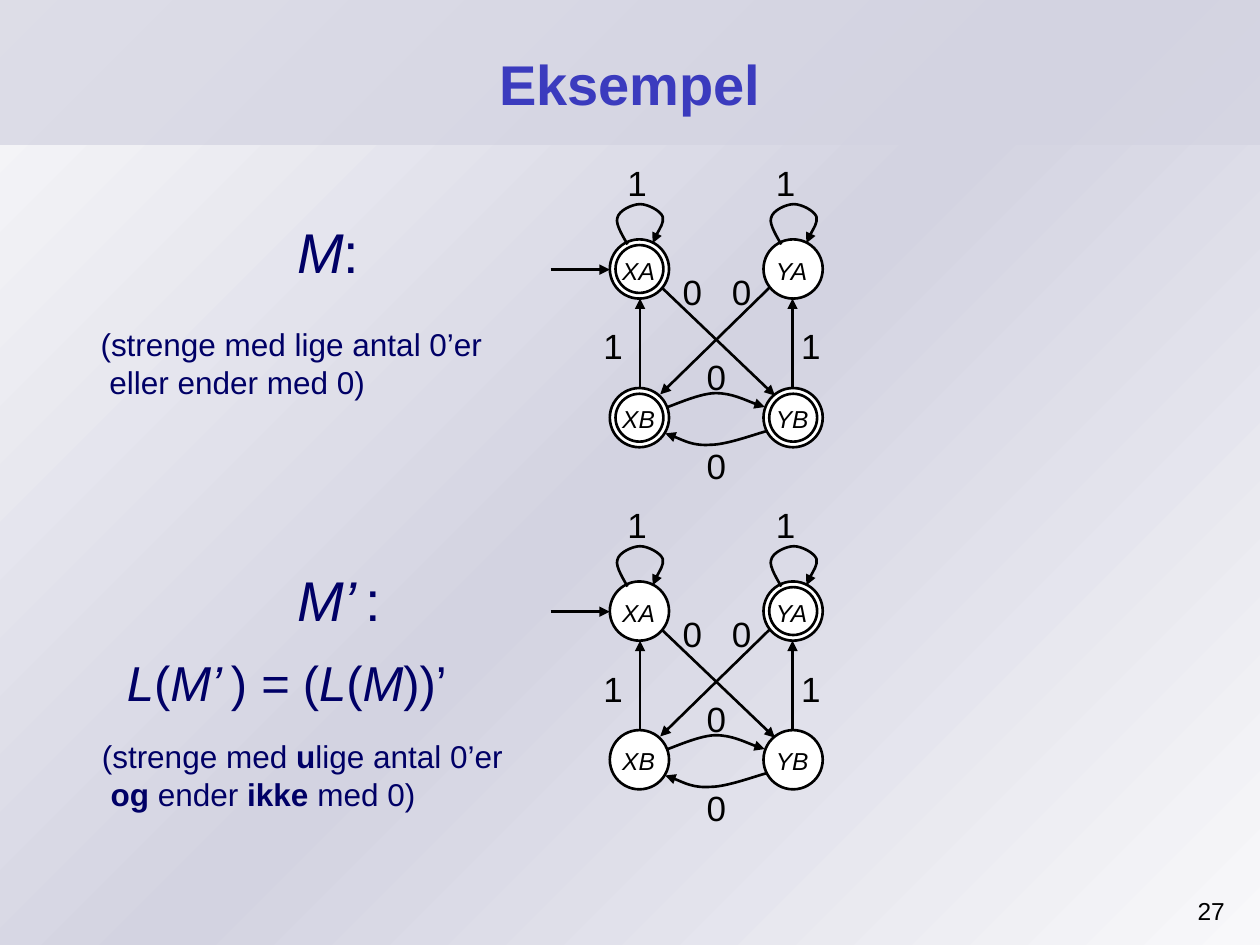
from typing import NamedTuple

import lxml.etree
import pptx
import pptx.dml.color
import pptx.enum.shapes
import pptx.enum.text
import pptx.oxml.ns
import pptx.util

COLUMNS, ROWS, CELL = 100, 75, 0.1  # slide grid, cell side in inches
BLACK, WHITE, NAVY, BLUE, LAVENDER, PALE = "000000", "FFFFFF", "000066", "3B3BBE", "D3D3E1", "F8F8FA"
OVAL = pptx.enum.shapes.MSO_SHAPE.OVAL
RECTANGLE = pptx.enum.shapes.MSO_SHAPE.RECTANGLE
ALIGN = pptx.enum.text.PP_ALIGN
qn = pptx.oxml.ns.qn


class Point(NamedTuple):
    column: float
    row: float

    def shift(self, columns: float, rows: float) -> "Point":
        return Point(self.column + columns, self.row + rows)


class Size(NamedTuple):
    columns: float
    rows: float


class Span(NamedTuple):
    text: str
    format: dict = {}


class Note(NamedTuple):
    at: Point
    size: Size
    base: dict
    spans: list
    hanging: float = 0


class State(NamedTuple):
    name: str
    column: int
    row: int


class Automaton(NamedTuple):
    origin: Point
    accepting: set


# Measures of an automaton, in grid cells from its top left state
DIAMETER, RING_INSET = 4.7, 0.45
PITCH = Size(12.2, 11.8)
STATES = [State("XA", 0, 0), State("YA", 1, 0), State("XB", 0, 1), State("YB", 1, 1)]
ARROWS = [
    (Point(-4.7, 2.4), Point(0, 2.4)),
    (Point(2.4, 11.8), Point(2.4, 4.7)),
    (Point(14.5, 11.8), Point(14.5, 4.7)),
    (Point(4.2, 3.9), Point(13.1, 12.4)),
    (Point(12.7, 3.8), Point(4.0, 12.3)),
]
LOOP = [Point(1.4, 0.4), Point(1.2, 0), Point(0.4, -1.2), Point(0.6, -1.7),
        Point(0.7, -2.3), Point(1.8, -2.8), Point(2.4, -2.8),
        Point(3.0, -2.8), Point(4.0, -2.3), Point(4.2, -1.8),
        Point(4.3, -1.3), Point(3.5, -0.1), Point(3.4, 0.3)]
ARCS = [
    [Point(4.6, 13.3), Point(5.2, 13.1), Point(7.2, 12.2), Point(8.4, 12.2),
     Point(9.7, 12.2), Point(11.5, 13.1), Point(12.3, 13.3)],
    [Point(12.5, 15.2), Point(11.7, 15.4), Point(9.3, 16.3), Point(8.0, 16.3),
     Point(6.6, 16.4), Point(5.1, 15.6), Point(4.4, 15.4)],
]
LABELS = {
    "0": [Point(4.8, 2), Point(8.7, 2), Point(6.7, 8.7), Point(6.7, 15.8)],
    "1": [Point(0.4, -6.7), Point(12.2, -6.7), Point(-1.5, 6.3), Point(14.2, 6.3)],
}
AUTOMATA = [
    Automaton(Point(48.4, 19), {"XA", "XB", "YB"}),
    Automaton(Point(48.4, 46.15), {"YA"}),
]

ITALIC, UPRIGHT, BOLD = {"italic": True}, {"italic": False}, {"bold": True}
NOTES = [
    Note(Point(22.6, 16.8), Size(7.2, 6), {"size": 32, "color": NAVY},
         [Span("M", ITALIC), Span(":")]),
    Note(Point(7, 25.3), Size(32.3, 6.6), {"size": 18, "color": NAVY},
         [Span("(strenge med lige antal 0’er\veller ender med 0)")], 0.7),
    Note(Point(22.6, 44.4), Size(8.7, 6), {"size": 32, "color": NAVY},
         [Span("M’", ITALIC), Span(" ", {"size": 20, "italic": True}), Span(":")]),
    Note(Point(9.1, 51.3), Size(27.4, 5.4), {"size": 28, "color": NAVY},
         [Span("L", ITALIC), Span("(", UPRIGHT), Span("M’", ITALIC),
          Span(" ", {"size": 18, "italic": True}), Span(")", UPRIGHT), Span(" = ", ITALIC),
          Span("(", UPRIGHT), Span("L", ITALIC), Span("(", UPRIGHT), Span("M", ITALIC),
          Span("))’", UPRIGHT)]),
    Note(Point(7.1, 58), Size(33.8, 6.6), {"size": 18, "color": NAVY},
         [Span("(strenge med "), Span("u", BOLD), Span("lige antal 0’er\v"), Span("og", BOLD),
          Span(" ender "), Span("ikke", BOLD), Span(" med 0)")], 0.7),
]


def cells(count: float) -> int:
    return pptx.util.Inches(count * CELL)


def color(value: str) -> pptx.dml.color.RGBColor:
    return pptx.dml.color.RGBColor.from_string(value)


def add_child(parent, tag: str, **attributes: str):
    return lxml.etree.SubElement(parent, qn(tag), attributes)


def outline(shape, arrow: bool = False) -> None:
    shape.line.width = pptx.util.Pt(1.5)
    shape.line.color.rgb = color(BLACK)
    if arrow:
        add_child(shape.element.find(".//" + qn("a:ln")), "a:tailEnd", type="triangle")


def draw_shape(page, kind, at: Point, size: Size, fill: str | None = None):
    shape = page.shapes.add_shape(kind, *map(cells, at + size))
    shape.shadow.inherit = False
    if fill:
        shape.fill.solid()
        shape.fill.fore_color.rgb = color(fill)
    else:
        shape.fill.background()
    return shape


def draw_text(page, at: Point, size: Size, spans: list, base: dict, align=ALIGN.LEFT,
              wrap: bool = False, middle: bool = False, hanging: float = 0) -> None:
    box = page.shapes.add_textbox(*map(cells, at + size))
    box.text_frame.word_wrap = wrap
    if not wrap:
        box.text_frame.auto_size = pptx.enum.text.MSO_AUTO_SIZE.SHAPE_TO_FIT_TEXT
    if middle:
        box.text_frame.vertical_anchor = pptx.enum.text.MSO_ANCHOR.MIDDLE
    para = box.text_frame.paragraphs[0]
    para.alignment = align
    if hanging:
        properties = para._p.get_or_add_pPr()
        properties.set("marL", str(cells(hanging)))
        properties.set("indent", str(-cells(hanging)))
    for span in spans:
        for index, part in enumerate(span.text.split("\v")):
            if index:
                para.add_line_break()
            if not part:
                continue
            run = para.add_run()
            run.text = part
            values = {"name": "Arial", **base, **span.format}
            run.font.color.rgb = color(values.pop("color"))
            values["size"] = pptx.util.Pt(values["size"])
            for name, value in values.items():
                setattr(run.font, name, value)


def draw_arrow(page, start: Point, end: Point) -> None:
    straight = pptx.enum.shapes.MSO_CONNECTOR.STRAIGHT
    arrow = page.shapes.add_connector(straight, *map(cells, start + end))
    outline(arrow, arrow=True)
    add_child(arrow.element.spPr, "a:effectLst")


def draw_curve(page, points: list) -> None:
    corners = [tuple(map(cells, point)) for point in points]
    builder = page.shapes.build_freeform(*corners[0])
    builder.add_line_segments(corners[1:], close=False)
    curve = builder.convert_to_shape()
    curve.shadow.inherit = False
    curve.fill.background()
    outline(curve, arrow=True)
    # Every three corners become one Bezier segment
    lines = curve.element.findall(".//" + qn("a:lnTo"))
    for first in range(0, len(lines), 3):
        bezier = lxml.etree.Element(qn("a:cubicBezTo"))
        lines[first].addprevious(bezier)
        for line in lines[first:first + 3]:
            bezier.append(line[0])
            line.getparent().remove(line)


def draw_automaton(page, automaton: Automaton) -> None:
    origin = automaton.origin
    for state in STATES:
        at = origin.shift(state.column * PITCH.columns, state.row * PITCH.rows)
        outline(draw_shape(page, OVAL, at, Size(DIAMETER, DIAMETER), WHITE))
        if state.name in automaton.accepting:
            inner = DIAMETER - 2 * RING_INSET
            outline(draw_shape(page, OVAL, at.shift(RING_INSET, RING_INSET), Size(inner, inner)))
        draw_text(page, at.shift(0, 0.8), Size(4.6, 3.2), [Span(state.name, ITALIC)],
                  {"size": 14, "color": BLACK})
        if state.row == 0:
            draw_curve(page, [at.shift(*point) for point in LOOP])
    for start, end in ARROWS:
        draw_arrow(page, origin.shift(*start), origin.shift(*end))
    for arc in ARCS:
        draw_curve(page, [origin.shift(*point) for point in arc])
    for symbol, places in LABELS.items():
        for place in places:
            draw_text(page, origin.shift(*place), Size(3.5, 4.1), [Span(symbol)],
                      {"size": 20, "color": BLACK})


def draw_backdrop(page) -> None:
    backdrop = draw_shape(page, RECTANGLE, Point(0, 0), Size(COLUMNS, ROWS), PALE)
    backdrop.line.fill.background()
    gradient = lxml.etree.Element(qn("a:gradFill"))
    stops = add_child(gradient, "a:gsLst")
    for share, shade in [(0, PALE), (50, LAVENDER), (100, PALE)]:
        add_child(add_child(stops, "a:gs", pos=str(share * 1000)), "a:srgbClr", val=shade)
    add_child(gradient, "a:lin", ang="13500000", scaled="0")
    solid = backdrop.element.spPr.find(qn("a:solidFill"))
    solid.getparent().replace(solid, gradient)
    # Translucent title band
    band = draw_shape(page, RECTANGLE, Point(0, 0), Size(COLUMNS, 11.5), LAVENDER)
    band.line.fill.background()
    add_child(band.element.spPr.find(".//" + qn("a:srgbClr")), "a:alpha", val="72000")


def main() -> None:
    deck = pptx.Presentation()
    deck.slide_width, deck.slide_height = cells(COLUMNS), cells(ROWS)
    page = deck.slides.add_slide(deck.slide_layouts[6])
    draw_backdrop(page)
    # Title and slide number
    draw_text(page, Point(5, 1.65), Size(90, 9.9), [Span("Eksempel", BOLD)],
              {"size": 32, "color": BLUE}, ALIGN.CENTER, wrap=True, middle=True)
    draw_text(page, Point(90.2, 70.6), Size(8, 3.9), [Span("27")],
              {"size": 14, "color": BLACK}, ALIGN.RIGHT, wrap=True)
    # Automata and the notes beside them
    for automaton in AUTOMATA:
        draw_automaton(page, automaton)
    for note in NOTES:
        draw_text(page, note.at, note.size, note.spans, note.base, hanging=note.hanging)
    deck.save("out.pptx")


if __name__ == "__main__":
    main()
